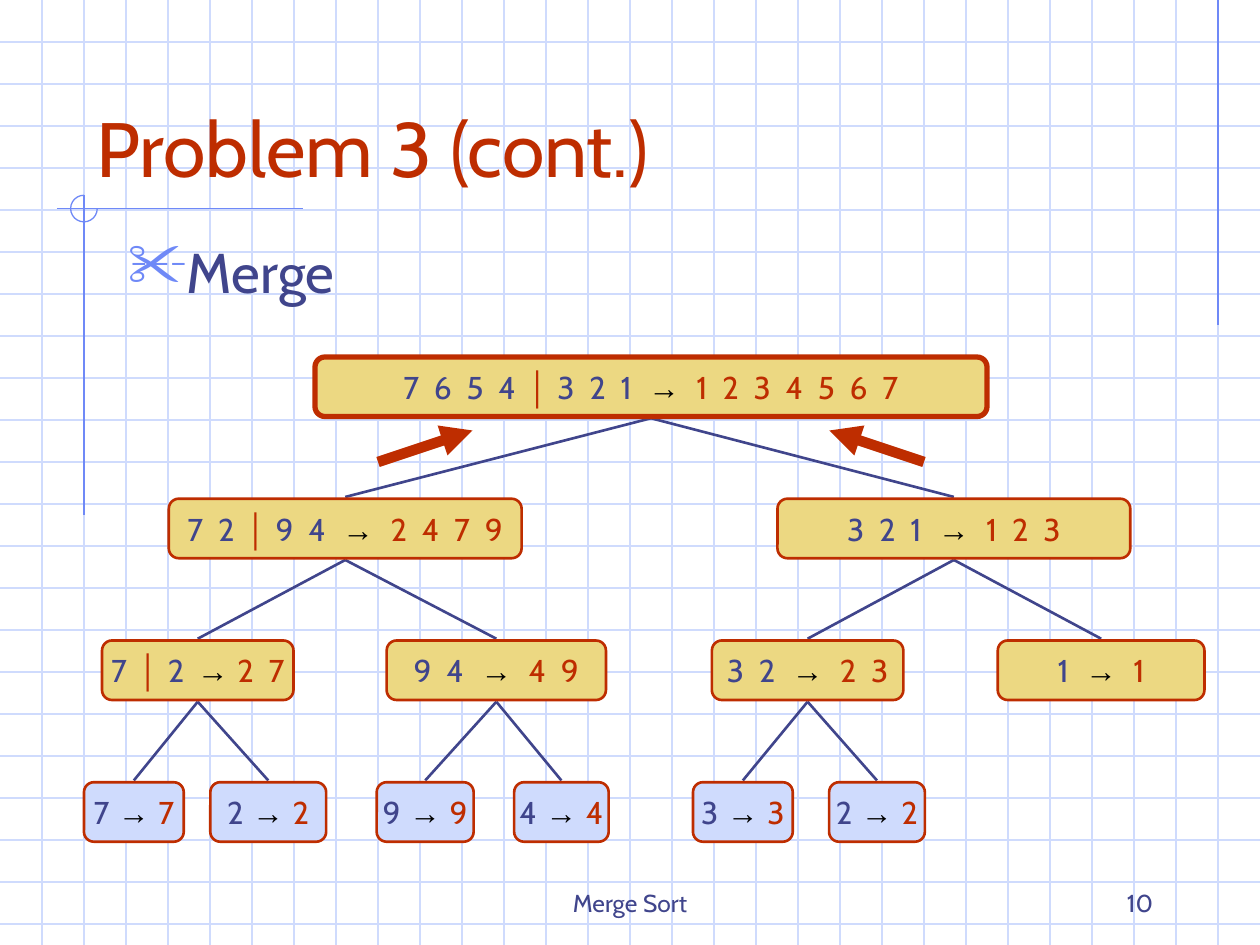
from collections import namedtuple
from dataclasses import dataclass

from lxml.etree import SubElement
from pptx import Presentation
from pptx.dml.color import RGBColor
from pptx.enum.shapes import MSO_CONNECTOR as Connector, MSO_SHAPE as Shape
from pptx.enum.text import MSO_ANCHOR as Anchor, PP_ALIGN as Align
from pptx.oxml.ns import qn
from pptx.util import Pt


@dataclass(frozen=True)
class Theme:
    grid: str = "CFDBFD"
    accent: str = "6F89F7"
    ink: str = "40458C"
    red: str = "BE2D00"
    gold: str = "ECD882"
    black: str = "000000"
    body_font: str = "Cabin"
    symbol_font: str = "Arial"
    title_size: float = 44
    bullet_size: float = 32
    node_size: float = 18
    footer_size: float = 14
    digit_gap: float = 2.2


THEME = Theme()
Box = namedtuple("Box", "left top width height")
Node = namedtuple("Node", "left width unsorted merged wide_arrow children")

SLIDE = Box(0, 0, 720, 540)
GRID_STEP = 24
LEVEL_STEP = 81
NODE_HEIGHT = 34
LEAF_LEVEL = 3


def leaf(left, width, digit):
    return Node(left, width, digit, digit, False, [])


MERGE_TREE = Node(132, 384, "7 6 5 4│3 2 1", "1 2 3 4 5 6 7", True, [
    Node(48.5, 201.6, "7 2│9 4", "2 4 7 9", True, [
        Node(10.3, 109.4, "7│2", "2 7", False,
             [leaf(0, 57, "7"), leaf(72.2, 66.2, "2")]),
        Node(173, 125.3, "9 4", "4 9", True,
             [leaf(167.3, 55.4, "9"), leaf(245.8, 54, "4")]),
    ]),
    Node(396.3, 201.6, "3 2 1", "1 2 3", True, [
        Node(358.8, 109.4, "3 2", "2 3", True,
             [leaf(348, 57, "3"), leaf(425.8, 54.7, "2")]),
        Node(522.2, 118.1, "1", "1", True, []),
    ]),
])


def rgb(color):
    return RGBColor.from_string(color)


def add_run(paragraph, text, *, size, color=THEME.ink, font=THEME.body_font,
            bold=False, spacing=0):
    run = paragraph.add_run()
    run.text = text
    run.font.size = Pt(size)
    run.font.name = font
    run.font.bold = bold
    run.font.color.rgb = rgb(color)
    if spacing:
        run._r.get_or_add_rPr().set("spc", str(round(spacing * 100)))


def add_label(slide, box, text, *, align=Align.LEFT, anchor=Anchor.BOTTOM, **run_format):
    frame = slide.shapes.add_textbox(*map(Pt, box)).text_frame
    frame.word_wrap = True
    frame.vertical_anchor = anchor
    paragraph = frame.paragraphs[0]
    paragraph.alignment = align
    add_run(paragraph, text, **run_format)
    return paragraph


def add_line(slide, start, end, color, width=0.75, arrow=False):
    line = slide.shapes.add_connector(Connector.STRAIGHT, *map(Pt, (*start, *end)))
    line.line.color.rgb = rgb(color)
    line.line.width = Pt(width)
    if arrow:
        SubElement(line.line._get_or_add_ln(), qn("a:tailEnd"), type="triangle")
    SubElement(line._element.spPr, qn("a:effectLst"))


def draw_grid(slide, box):
    right, bottom = box.left + box.width, box.top + box.height
    for y in range(box.top + GRID_STEP, bottom, GRID_STEP):
        add_line(slide, (box.left, y), (right, y), THEME.grid)
    for x in range(box.left + GRID_STEP, right, GRID_STEP):
        add_line(slide, (x, box.top), (x, bottom), THEME.grid)


def draw_margin_marks(slide, box):
    # Right margin, then the cross beside the title
    margin_x = box.left + box.width - GRID_STEP
    add_line(slide, (margin_x, box.top), (margin_x, box.top + 186), THEME.accent)
    cross_x, cross_y = box.left + 48, box.top + 119.2
    add_line(slide, (cross_x - 15.5, cross_y), (cross_x + 125, cross_y), THEME.accent)
    add_line(slide, (cross_x, cross_y - 7.6), (cross_x, cross_y + 175), THEME.accent)

    # Three quarters of a circle, open at the upper right
    radius = 7.6
    ring = slide.shapes.add_shape(Shape.ARC, Pt(cross_x - radius), Pt(cross_y - radius),
                                  Pt(2 * radius), Pt(2 * radius))
    ring.adjustments[0] = 0
    ring.adjustments[1] = 162
    ring.shadow.inherit = False
    ring.fill.background()
    ring.line.color.rgb = rgb(THEME.accent)
    ring.line.width = Pt(0.75)


def draw_heading(slide, box):
    add_label(slide, Box(box.left, box.top, box.width, 90), "Problem 3 (cont.)",
              size=THEME.title_size, color=THEME.red)
    topic = add_label(slide, Box(box.left + 18, box.top + 108, box.width, 54), "Merge",
                      anchor=Anchor.TOP, size=THEME.bullet_size)
    topic.space_before = Pt(8)

    # Scissors bullet with a hanging indent
    props = topic._p.get_or_add_pPr()
    props.set("marL", str(Pt(27)))
    props.set("indent", str(Pt(-27)))
    bullet_color = SubElement(props, qn("a:buClr"))
    SubElement(bullet_color, qn("a:srgbClr"), val=THEME.accent)
    SubElement(props, qn("a:buSzPct"), val="110000")
    SubElement(props, qn("a:buChar"), char="✂")


def draw_footer(slide, box):
    add_label(slide, Box(box.left, box.top, 228, box.height), "Merge Sort",
              align=Align.CENTER, size=THEME.footer_size)
    add_label(slide, Box(box.left + box.width - 150, box.top, 150, box.height), "10",
              align=Align.RIGHT, size=THEME.footer_size)


def draw_node(slide, box, node, level):
    card = slide.shapes.add_shape(Shape.ROUNDED_RECTANGLE, *map(Pt, box))
    card.shadow.inherit = False
    card.fill.solid()
    card.fill.fore_color.rgb = rgb(THEME.grid if level == LEAF_LEVEL else THEME.gold)
    card.line.color.rgb = rgb(THEME.red)
    card.line.width = Pt(1.5 if level else 3)
    frame = card.text_frame
    frame.word_wrap = False
    frame.vertical_anchor = Anchor.MIDDLE
    paragraph = frame.paragraphs[0]
    paragraph.alignment = Align.CENTER

    # Unsorted digits, split by a bar, then the merged digits
    symbol = dict(size=THEME.node_size, font=THEME.symbol_font, bold=True)
    digit_gap = 0 if level == LEAF_LEVEL else THEME.digit_gap
    digits = dict(size=THEME.node_size, spacing=digit_gap)
    for index, part in enumerate(node.unsorted.split("│")):
        if index:
            add_run(paragraph, " │ ", color=THEME.red, **symbol)
        add_run(paragraph, part, **digits)
    add_run(paragraph, " → ", color=THEME.black,
            spacing=digit_gap if node.wide_arrow else 0, **symbol)
    add_run(paragraph, node.merged, color=THEME.red, **digits)


def draw_tree(slide, box, node, level=0):
    def place(item, depth):
        return Box(box.left + item.left, box.top + depth * LEVEL_STEP,
                   item.width, NODE_HEIGHT)

    card = place(node, level)
    for child in node.children:
        target = place(child, level + 1)
        add_line(slide, (card.left + card.width / 2, card.top + card.height + 1),
                 (target.left + target.width / 2, target.top - 1), THEME.ink, 1.5)
        draw_tree(slide, box, child, level + 1)
    draw_node(slide, card, node, level)


def draw_merge_arrows(slide, box):
    # A mirrored pair pointing up to the root
    center = box.left + box.width / 2
    for side in (-1, 1):
        add_line(slide, (center + side * 156, box.top + box.height),
                 (center + side * 102, box.top), THEME.red, 6, arrow=True)


def main():
    deck = Presentation()
    deck.slide_width, deck.slide_height = Pt(SLIDE.width), Pt(SLIDE.height)
    slide = deck.slides.add_slide(deck.slide_layouts[6])
    draw_grid(slide, SLIDE)
    draw_margin_marks(slide, SLIDE)
    draw_footer(slide, Box(246, 492, 420, 36))
    draw_heading(slide, Box(48, 24, 612, 162))
    draw_tree(slide, Box(48, 204, 640, 277), MERGE_TREE)
    draw_merge_arrows(slide, Box(216, 246, 312, 18))
    deck.save("out.pptx")


if __name__ == "__main__":
    main()
